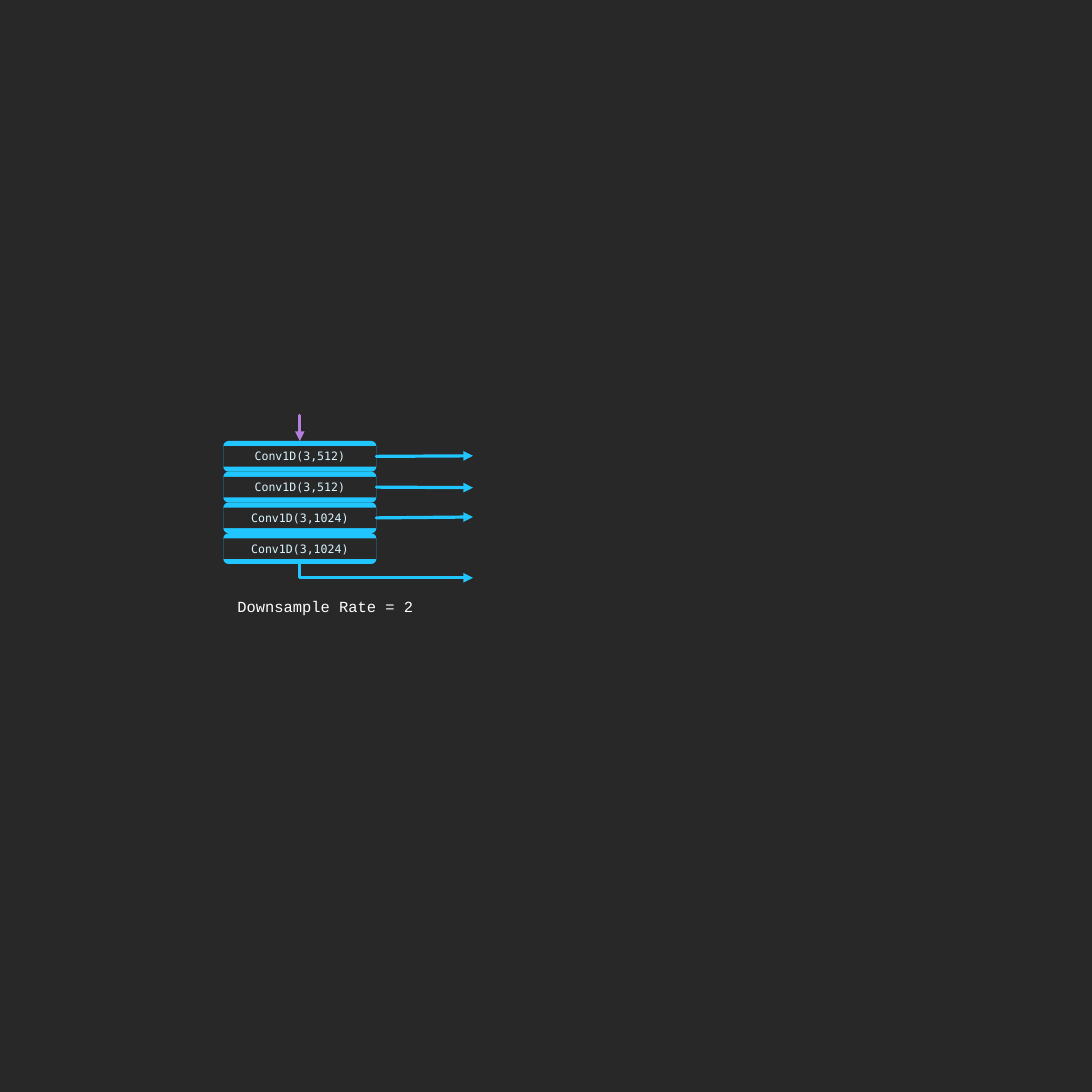
from dataclasses import dataclass
from pptx import Presentation
from pptx.dml.color import RGBColor
from pptx.enum import shapes as kinds, text as txt
from pptx.oxml.ns import qn
from pptx.util import Cm, Pt
from lxml import etree


@dataclass(frozen=True)
class Theme:
    dark: str = "282828"
    blue: str = "21C5FF"
    pale: str = "D9F5FF"
    white: str = "FFFFFF"
    purple: str = "B57EDC"
    mono: str = "DejaVu Sans Mono"
    serif: str = "Courier New"
    small: int = 18
    large: int = 24
    stroke: int = 5


THEME = Theme()
# Layer label and the rise of its arrow (cm); the last layer has a bent arrow.
LAYERS = [("Conv1D(3,512)", -0.03), ("Conv1D(3,512)", 0.03),
          ("Conv1D(3,1024)", -0.05), ("Conv1D(3,1024)", None)]


def block(parent, kind, box, color):
    shape = parent.add_shape(kind, *map(Cm, box))
    shape.shadow.inherit = False
    shape.fill.solid()
    shape.fill.fore_color.rgb = RGBColor.from_string(color)
    shape.line.fill.background()
    return shape


def label(shape, words, font, size, color):
    frame = shape.text_frame
    frame.word_wrap = True
    frame.vertical_anchor = txt.MSO_ANCHOR.MIDDLE
    para = frame.paragraphs[0]
    para.alignment = txt.PP_ALIGN.CENTER
    run = para.add_run()
    run.text = words
    for key, value in {"name": font, "size": Pt(size)}.items():
        setattr(run.font, key, value)
    run.font.color.rgb = RGBColor.from_string(color)


def arrow(parent, start, end, color):
    line = parent.add_connector(kinds.MSO_CONNECTOR.STRAIGHT,
                                *map(Cm, (*start, *end)))
    line.line.width = Pt(THEME.stroke)
    line.line.color.rgb = RGBColor.from_string(color)
    props = line.line._get_or_add_ln()
    props.set("cap", "rnd")
    etree.SubElement(props, qn("a:round"))
    etree.SubElement(props, qn("a:tailEnd"), type="triangle")
    etree.SubElement(line._element.spPr, qn("a:effectLst"))
    return line


def elbow(parent, start, end, color):
    """Arrow that goes down, then right: a bent connector on its side."""
    (x1, y1), (x2, y2) = start, end
    mid, half = (x1 + x2) / 2, (y1 + y2) / 2
    run, drop = (x2 - x1) / 2, (y2 - y1) / 2
    line = arrow(parent, (mid + drop, half - run), (mid - drop, half + run), color)
    props = line._element.spPr
    props.find(qn("a:xfrm")).set("rot", str(270 * 60000))
    props.find(qn("a:prstGeom")).set("prst", "bentConnector2")


def layer(parent, box, words):
    left, top, width, height = box
    band = 0.28
    group = parent.add_group_shape().shapes
    block(group, kinds.MSO_SHAPE.ROUNDED_RECTANGLE, box, THEME.blue)
    core = block(group, kinds.MSO_SHAPE.RECTANGLE,
                 (left, top + band, width, height - 2 * band), THEME.dark)
    label(core, words, THEME.mono, THEME.small, THEME.pale)


def stack(parent, box):
    """Layers in the box, with the input arrow above and outputs to the right."""
    left, top, width, height = box
    pitch = height / len(LAYERS)
    mid, right, end = left + width / 2, left + width, left + width + 5.31
    for row, (words, rise) in enumerate(LAYERS):
        y = top + row * pitch
        if rise is None:
            base = top + height
            elbow(parent, (mid, base), (end, base + 0.76), THEME.blue)
        layer(parent, (left, y, width, pitch), words)
        if rise is not None:
            y += pitch / 2
            arrow(parent, (right, y), (end, y + rise), THEME.blue)
    arrow(parent, (mid, top - 1.4), (mid, top), THEME.purple)


def caption(parent, box):
    shape = block(parent, kinds.MSO_SHAPE.RECTANGLE, box, THEME.dark)
    label(shape, "Downsample Rate = 2", THEME.serif, THEME.large, THEME.white)


def main():
    deck = Presentation()
    deck.slide_width = deck.slide_height = Cm(60)
    slide = deck.slides.add_slide(deck.slide_layouts[6])
    fill = slide.background.fill
    fill.solid()
    fill.fore_color.rgb = RGBColor.from_string(THEME.dark)
    stack(slide.shapes, (12.27, 24.23, 8.41, 6.76))
    caption(slide.shapes, (12.67, 32.28, 10.39, 2.08))
    deck.save("out.pptx")


if __name__ == "__main__":
    main()
